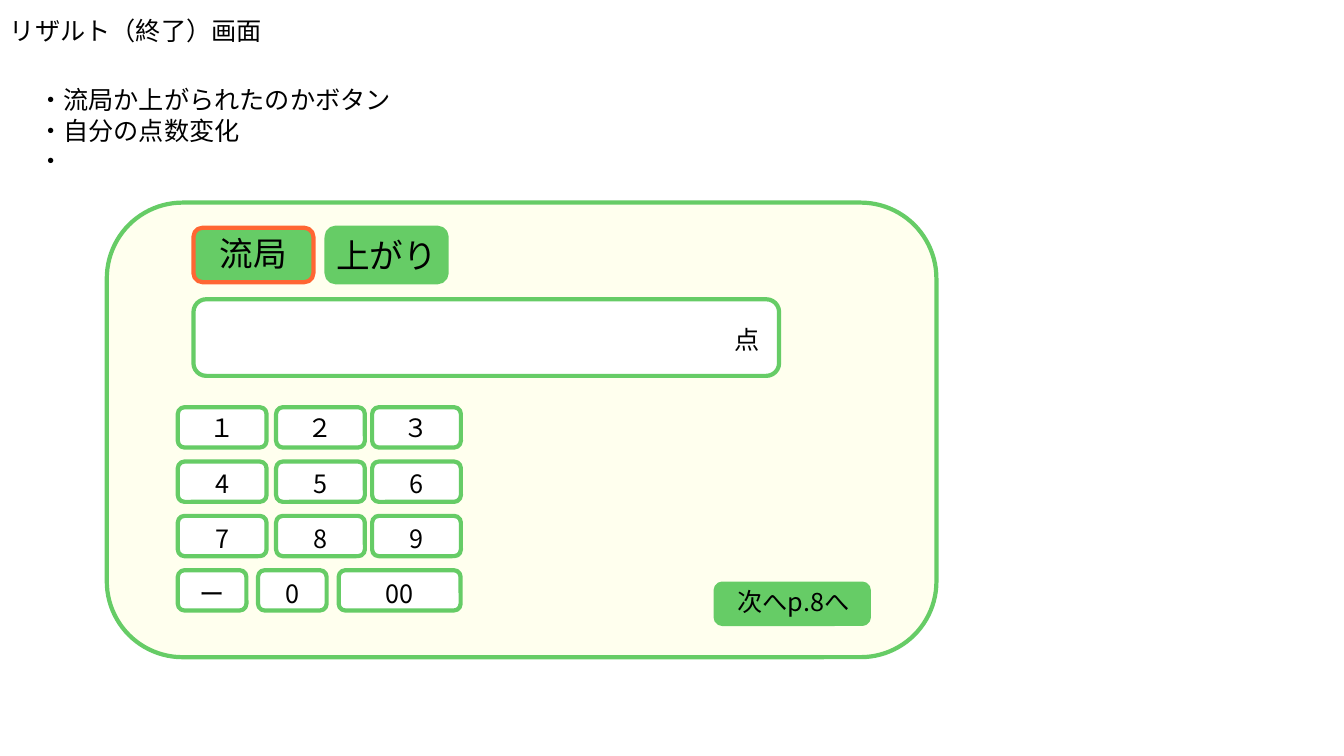
from lxml import etree
from pptx import Presentation
from pptx import util as u
from pptx.dml.color import RGBColor
from pptx.enum import shapes, text
from pptx.oxml import ns

Pt = u.Pt
FONT = "Noto Sans CJK JP"
COLORS = {
    "ink": "000000",
    "white": "FFFFFF",
    "cream": "FFFFEE",
    "green": "66CC66",
    "orange": "FF6633",
}
LEFT, CENTER, RIGHT = (text.PP_ALIGN.LEFT, text.PP_ALIGN.CENTER,
                       text.PP_ALIGN.RIGHT)

# Keypad geometry
KEY_W, KEY_H = 63.4, 28.8
COLUMNS = (127, 197.2, 265.8)
ROW_TOP, ROW_PITCH = 290.9, 38.8
DIGIT_ROWS = (("１２３", 0), ("456", 1), ("789", 2))
BOTTOM_ROW = (("ー", 127, 49), ("0", 184.3, 49), ("00", 241.9, 87.1))


def color(name):
    return RGBColor.from_string(COLORS[name])


def add_panel(s, x, y, w, h, fill="white", line="green"):
    sp = s.shapes.add_shape(shapes.MSO_SHAPE.ROUNDED_RECTANGLE,
                            Pt(x), Pt(y), Pt(w), Pt(h))
    sp.shadow.inherit = False
    sp.fill.solid()
    sp.fill.fore_color.rgb = color(fill)
    sp.line.color.rgb = color(line)
    sp.line.width = Pt(3)


def add_label(s, x, y, w, h, lines, size=18, align=CENTER, wrap=True,
              middle=False):
    tf = s.shapes.add_textbox(Pt(x), Pt(y), Pt(w), Pt(h)).text_frame
    tf.word_wrap = wrap
    if middle:
        tf.vertical_anchor = text.MSO_ANCHOR.MIDDLE
    else:
        tf.auto_size = text.MSO_AUTO_SIZE.SHAPE_TO_FIT_TEXT
    for i, line in enumerate(lines):
        p = tf.add_paragraph() if i else tf.paragraphs[0]
        p.alignment = align
        r = p.add_run()
        r.text = line
        r.font.size = Pt(size)
        r.font.name = FONT
        r.font.color.rgb = color("ink")
        # East Asian typeface
        ea = etree.SubElement(r.font._element, ns.qn("a:ea"))
        ea.set("typeface", FONT)


def add_key(s, caption, x, y, w, drop):
    add_panel(s, x, y, w, KEY_H)
    add_label(s, x, y + drop, w, KEY_H, [caption])


def add_keypad(s):
    for row, (digits, drop) in enumerate(DIGIT_ROWS):
        for x, digit in zip(COLUMNS, digits):
            add_key(s, digit, x, ROW_TOP + row * ROW_PITCH, KEY_W, drop)
    bottom = ROW_TOP + len(DIGIT_ROWS) * ROW_PITCH
    for caption, x, w in BOTTOM_ROW:
        add_key(s, caption, x, bottom, w, 2.2)


def main():
    prs = Presentation()
    prs.slide_width, prs.slide_height = Pt(960), Pt(540)
    s = prs.slides.add_slide(prs.slide_layouts[6])

    # Heading and notes
    add_label(s, 0, 7.2, 196.6, 29, ["リザルト（終了）画面"],
              align=LEFT, wrap=False)
    add_label(s, 20.2, 56.9, 269.3, 72.7,
              ["・流局か上がられたのかボタン", "・自分の点数変化", "・"],
              align=LEFT, wrap=False)

    # Screen
    add_panel(s, 76.3, 144.7, 592.6, 324.7, "cream")

    # Outcome buttons
    add_panel(s, 138.2, 162.7, 85.7, 38.9, "green", "orange")
    add_label(s, 138.2, 162.7, 85.7, 36.4, ["流局"], size=24)
    add_panel(s, 233.3, 162.7, 85.7, 38.9, "green")
    add_label(s, 217.4, 164.2, 117.4, 36.4, ["上がり"], size=24)

    # Score field
    add_panel(s, 138.2, 213.8, 418.3, 54.7)
    add_label(s, 138.2, 215.3, 411.2, 54.7, ["点"], align=RIGHT, middle=True)

    add_keypad(s)

    # Next button
    add_panel(s, 511.2, 416.9, 109.4, KEY_H, "green")
    add_label(s, 513.4, 415.4, 106.6, 29, ["次へp.8へ"])

    prs.save("out.pptx")


if __name__ == "__main__":
    main()
